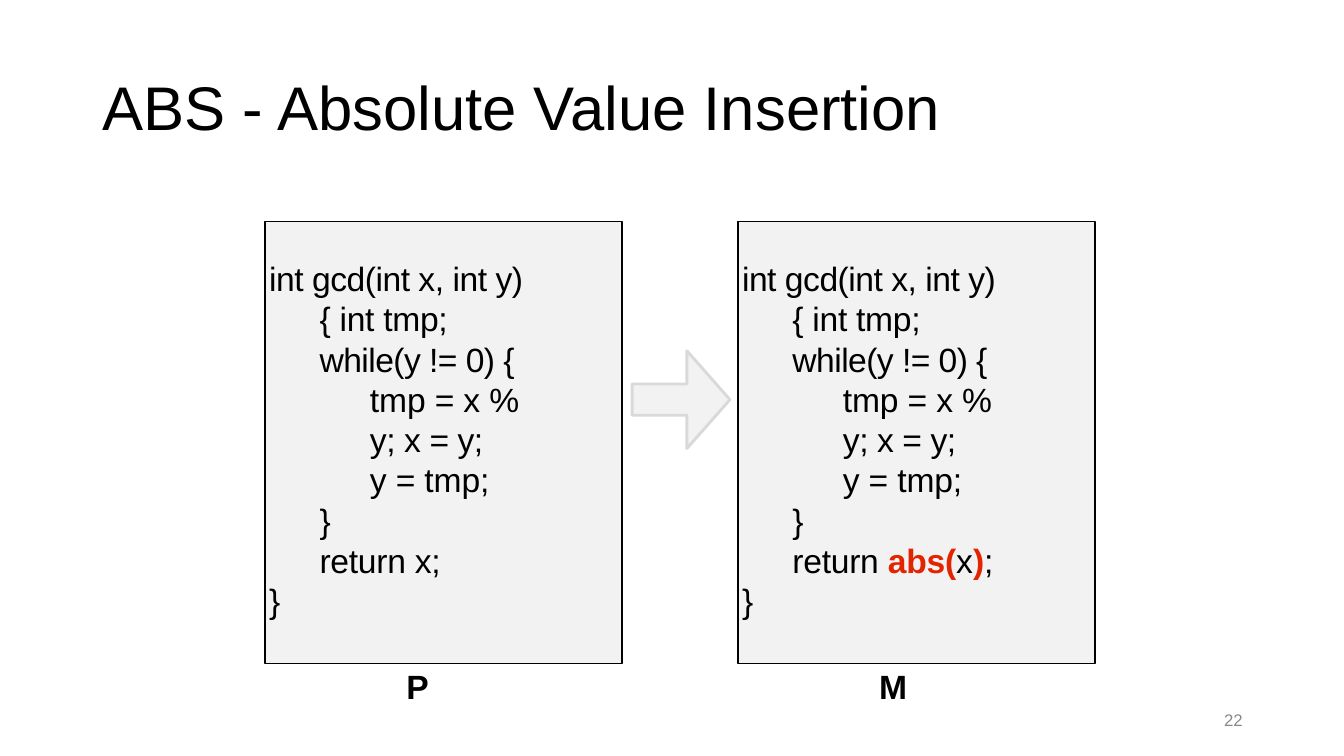
from pptx import Presentation
from pptx.dml.color import RGBColor
from pptx.enum.shapes import MSO_SHAPE
from pptx.enum.text import MSO_ANCHOR, PP_ALIGN
from pptx.util import Inches, Pt

BLACK, RED, GREY = "000000", "E32400", "898989"
PANEL_FILL, ARROW_LINE = "F2F2F2", "D9D9D9"


def color(hex_string):
    return RGBColor.from_string(hex_string)


def add_text(slide, text, left, top, width, height, size, hex_color=BLACK, bold=False):
    box = slide.shapes.add_textbox(Inches(left), Inches(top), Inches(width), Inches(height))
    frame = box.text_frame
    frame.margin_left = Inches(0.02)
    frame.margin_right = frame.margin_top = frame.margin_bottom = 0
    paragraph = frame.paragraphs[0]
    paragraph.text = text
    paragraph.font.name = "Arial"
    paragraph.font.size = Pt(size)
    paragraph.font.bold = bold
    paragraph.font.color.rgb = color(hex_color)


presentation = Presentation()
presentation.slide_width = Inches(13.33)
presentation.slide_height = Inches(7.5)
slide = presentation.slides.add_slide(presentation.slide_layouts[6])

# Title
add_text(slide, "ABS - Absolute Value Insertion", 1, 0.68, 11.26, 0.76, 44)

# Code lines: indent level, character spacing in 1/100 pt, and (text, highlighted) runs
opening = [
    (0, -35, [("int gcd(int x, int y)", False)]),
    (1, -20, [("{ int tmp;", False)]),
    (1, -40, [("while(y != 0) {", False)]),
    (2, -10, [("tmp = x %", False)]),
    (2, -30, [("y; x = y;", False)]),
    (2, -10, [("y = tmp;", False)]),
    (1, 0, [("}", False)]),
]
closing = [(0, 0, [("}", False)])]
original_return = [("return x;", False)]
mutant_return = [("return ", False), ("abs(", True), ("x", False), (")", True), (";", False)]

# Program and mutant panels with their labels
panels = [
    (2.63, original_return, "P", 4.01),
    (7.32, mutant_return, "M", 8.7),
]
for left, return_runs, label, label_left in panels:
    panel = slide.shapes.add_shape(
        MSO_SHAPE.RECTANGLE, Inches(left), Inches(2.2), Inches(3.54), Inches(4.38))
    panel.shadow.inherit = False
    panel.fill.solid()
    panel.fill.fore_color.rgb = color(PANEL_FILL)
    panel.line.color.rgb = color(BLACK)
    panel.line.width = Pt(1)

    frame = panel.text_frame
    frame.word_wrap = True
    frame.vertical_anchor = MSO_ANCHOR.TOP
    frame.margin_top = Inches(0.36)
    frame.margin_right = frame.margin_bottom = 0
    frame.margin_left = Inches(0.04)

    lines = opening + [(1, -20, return_runs)] + closing
    for index, (level, spacing, runs) in enumerate(lines):
        paragraph = frame.paragraphs[0] if index == 0 else frame.add_paragraph()
        paragraph.alignment = PP_ALIGN.LEFT
        paragraph.line_spacing = Pt(28.75)
        paragraph.font.name = "Arial"
        paragraph.font.size = Pt(24)
        paragraph.font.color.rgb = color(BLACK)
        properties = paragraph._p.get_or_add_pPr()
        properties.set("marL", str(Inches(0.5 * level)))
        for text, highlighted in runs:
            run = paragraph.add_run()
            run.text = text
            run._r.get_or_add_rPr().set("spc", str(spacing))
            if highlighted:
                run.font.bold = True
                run.font.color.rgb = color(RED)

    add_text(slide, label, label_left, 6.61, 0.32, 0.4, 24, bold=True)

# Arrow from program to mutant
arrow = slide.shapes.add_shape(
    MSO_SHAPE.RIGHT_ARROW, Inches(6.27), Inches(3.48), Inches(0.97), Inches(0.97))
arrow.adjustments[0] = 0.32
arrow.adjustments[1] = 0.44
arrow.shadow.inherit = False
arrow.fill.solid()
arrow.fill.fore_color.rgb = color(PANEL_FILL)
arrow.line.color.rgb = color(ARROW_LINE)
arrow.line.width = Pt(2)

# Slide number
add_text(slide, "22", 12.12, 7.04, 0.27, 0.23, 12, GREY)

presentation.save("out.pptx")
